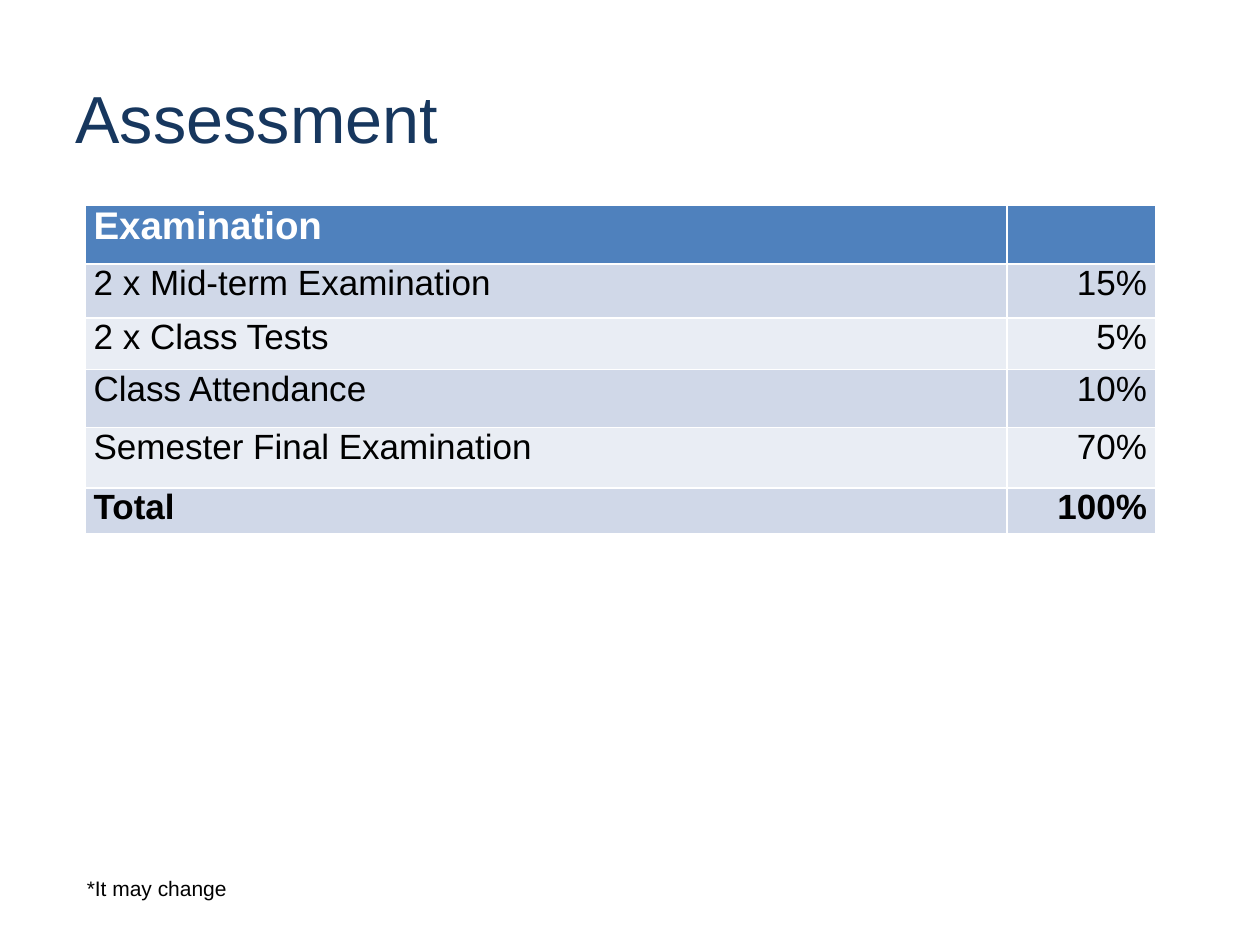
"""Build the course assessment slide with its table of examination weights."""
from pptx import Presentation
from pptx.dml.color import RGBColor
from pptx.enum.text import MSO_ANCHOR, PP_ALIGN
from pptx.util import Pt

TITLE = "Assessment"
FOOTNOTE = "*It may change"
ROWS = [
    ("Examination", "", 33.8),
    ("2 x Mid-term Examination", "15%", 31),
    ("2 x Class Tests", "5%", 29.5),
    ("Class Attendance", "10%", 33.1),
    ("Semester Final Examination", "70%", 34.6),
    ("Total", "100%", 25.9),
]
COLUMN_WIDTHS = (527, 85)
ALIGNMENTS = (PP_ALIGN.LEFT, PP_ALIGN.RIGHT)
COLORS = {
    "title": "17375E",
    "header": "4F81BD",
    "odd": "D0D8E8",
    "even": "E9EDF4",
    "white": "FFFFFF",
    "black": "000000",
}


def color(name):
    return RGBColor.from_string(COLORS[name])


def style(para, size, color_name, bold=False, align=PP_ALIGN.LEFT):
    para.alignment = align
    para.font.name = "Arial"
    para.font.size = Pt(size)
    para.font.bold = bold
    para.font.color.rgb = color(color_name)


deck = Presentation()
deck.slide_width, deck.slide_height = Pt(720), Pt(540)
page = deck.slides.add_slide(deck.slide_layouts[5])

title = page.shapes.title
title.left, title.top, title.width, title.height = Pt(36), Pt(21.6), Pt(648), Pt(90)
title.text_frame.text = TITLE
title.text_frame.vertical_anchor = MSO_ANCHOR.MIDDLE
style(title.text_frame.paragraphs[0], 38, "title")

table = page.shapes.add_table(
    len(ROWS), len(COLUMN_WIDTHS), Pt(48.5), Pt(117),
    Pt(sum(COLUMN_WIDTHS)), Pt(sum(row[-1] for row in ROWS)),
).table
for column, width in zip(table.columns, COLUMN_WIDTHS):
    column.width = Pt(width)

for index, (*texts, height) in enumerate(ROWS):
    table.rows[index].height = Pt(height)
    is_header = index == 0
    is_total = index == len(ROWS) - 1
    fill = "header" if is_header else "odd" if index % 2 else "even"
    for cell, text, align in zip(table.rows[index].cells, texts, ALIGNMENTS):
        cell.text = text
        cell.margin_left = cell.margin_right = Pt(5)
        cell.margin_top = cell.margin_bottom = 0
        cell.fill.solid()
        cell.fill.fore_color.rgb = color(fill)
        style(cell.text_frame.paragraphs[0], 22 if is_header else 20,
              "white" if is_header else "black", is_header or is_total, align)

footnote = page.shapes.add_textbox(Pt(42.5), Pt(497), Pt(193), Pt(21.6))
footnote.text_frame.word_wrap = True
footnote.text_frame.text = FOOTNOTE
style(footnote.text_frame.paragraphs[0], 12, "black")

deck.save("out.pptx")
